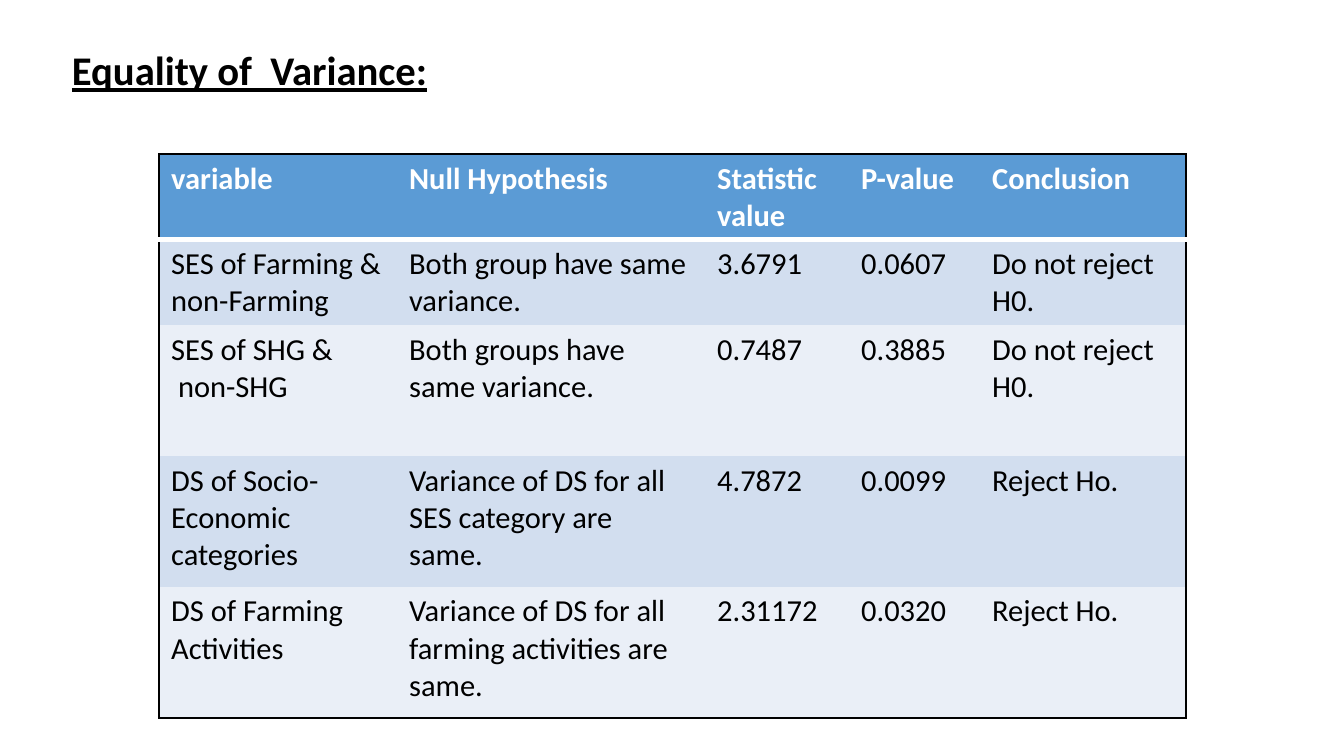
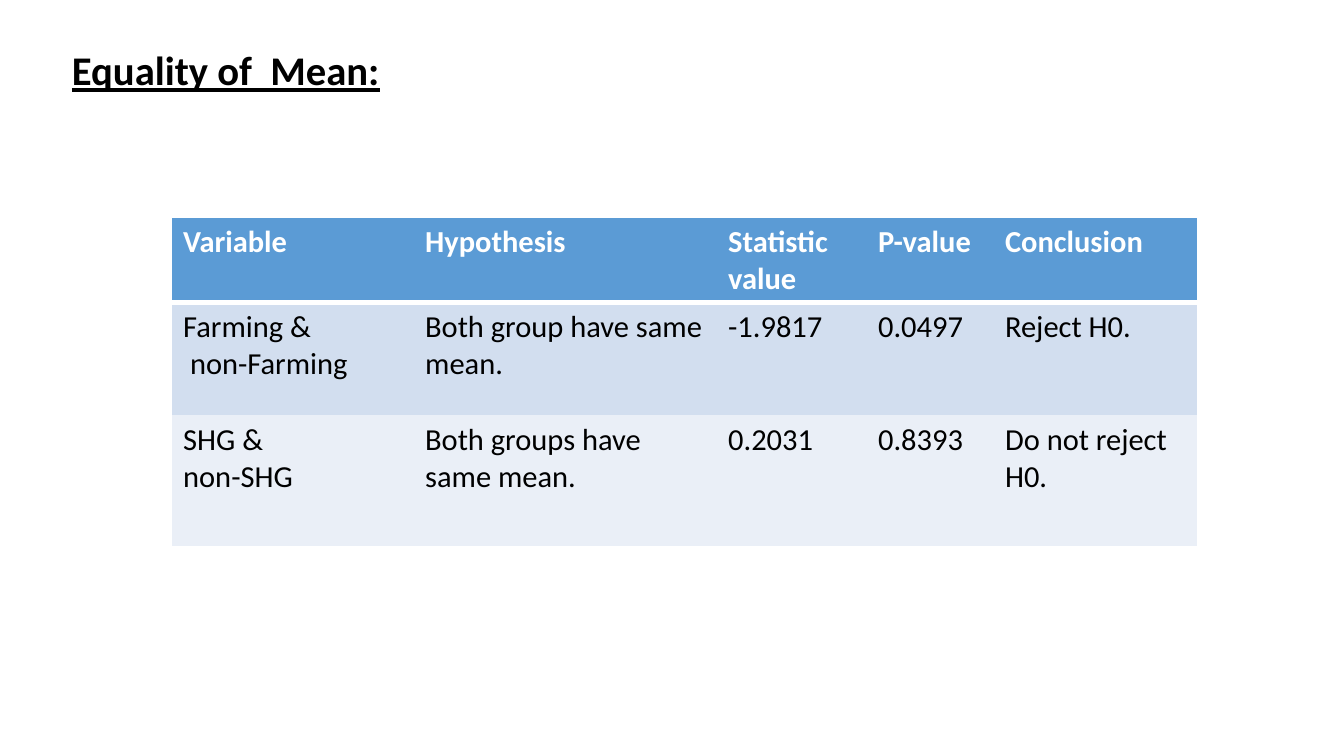
from dataclasses import dataclass
from lxml.etree import SubElement
from pptx import Presentation
from pptx.dml.color import RGBColor
from pptx.enum.text import MSO_AUTO_SIZE
from pptx.oxml.ns import qn
from pptx.util import Emu, Pt


@dataclass(frozen=True)
class Theme:
    font: str = "Calibri"
    title_size: int = 24
    table_size: int = 18
    ink: str = "000000"
    paper: str = "FFFFFF"
    header_fill: str = "5B9BD5"
    band_fills: tuple = ("D2DEEF", "EAEFF7")
    outline_width: int = 1
    header_rule_width: int = 3
    plain_table_style: str = "{2D5ABB26-0587-4C30-8999-92F81FD0307C}"


theme = Theme()
EMU_PER_PIXEL = 914400 / 122


def pixels(count):
    return Emu(round(count * EMU_PER_PIXEL))


def add_run(paragraph, text, size, color, bold, underline=False):
    run = paragraph.add_run()
    run.text = text
    run.font.name = theme.font
    run.font.size = Pt(size)
    run.font.color.rgb = RGBColor.from_string(color)
    run.font.bold = bold
    run.font.underline = underline


tests = [
    {
        "title": "Equality of  Variance:",
        "left": 159,
        "top": 154,
        "column_widths": [238, 308, 144, 131, 206],
        "row_heights": [85, 85, 131, 131, 131],
        "outline": theme.ink,
        "rows": [
            ["variable", "Null Hypothesis", "Statistic value", "P-value", "Conclusion"],
            ["SES of Farming & non-Farming", "Both group have same variance.",
             "3.6791", "0.0607", "Do not reject H0."],
            ["SES of SHG &\n non-SHG", "Both groups have same variance.",
             "0.7487", "0.3885", "Do not reject H0."],
            ["DS of Socio-Economic categories", "Variance of DS for all SES category are same.",
             "4.7872", "0.0099", "Reject Ho."],
            ["DS of Farming Activities", "Variance of DS for all farming activities are same.",
             "2.31172", "0.0320", "Reject Ho."],
        ],
    },
    {
        "title": "Equality of  Mean:",
        "left": 171,
        "top": 217,
        "column_widths": [242, 303, 150, 127, 205],
        "row_heights": [85, 113, 131],
        "outline": theme.paper,
        "rows": [
            ["Variable", "Hypothesis", "Statistic value", "P-value", "Conclusion"],
            ["Farming &\n non-Farming", "Both group have same mean.",
             "-1.9817", "0.0497", "Reject H0."],
            ["SHG &\nnon-SHG", "Both groups have same mean.",
             "0.2031", "0.8393", "Do not reject H0."],
        ],
    },
]

presentation = Presentation()
presentation.slide_width = pixels(1344)
presentation.slide_height = pixels(756)
blank_layout = presentation.slide_layouts[6]

for test in tests:
    slide = presentation.slides.add_slide(blank_layout)

    title = slide.shapes.add_textbox(pixels(60), pixels(39), pixels(432), pixels(61))
    title.text_frame.word_wrap = True
    title.text_frame.auto_size = MSO_AUTO_SIZE.SHAPE_TO_FIT_TEXT
    add_run(title.text_frame.paragraphs[0], test["title"], theme.title_size, theme.ink, True, True)

    rows, widths, heights = test["rows"], test["column_widths"], test["row_heights"]
    table = slide.shapes.add_table(
        len(rows), len(widths), pixels(test["left"]), pixels(test["top"]),
        pixels(sum(widths)), pixels(sum(heights))).table
    table.horz_banding = False
    table._tbl.tblPr.find(qn("a:tableStyleId")).text = theme.plain_table_style
    for column, width in zip(table.columns, widths):
        column.width = pixels(width)
    for row, height in zip(table.rows, heights):
        row.height = pixels(height)

    last_row, last_column = len(rows) - 1, len(widths) - 1
    outline = (test["outline"], theme.outline_width)
    for row_index, row_texts in enumerate(rows):
        is_header = row_index == 0
        fill = theme.header_fill if is_header else theme.band_fills[(row_index - 1) % 2]
        text_color = theme.paper if is_header else theme.ink
        for column_index, cell_text in enumerate(row_texts):
            cell = table.cell(row_index, column_index)
            for line_index, line in enumerate(cell_text.split("\n")):
                text_frame = cell.text_frame
                paragraph = text_frame.add_paragraph() if line_index else text_frame.paragraphs[0]
                add_run(paragraph, line, theme.table_size, text_color, is_header)

            borders = {}
            if column_index == 0:
                borders["a:lnL"] = outline
            if column_index == last_column:
                borders["a:lnR"] = outline
            if is_header:
                borders["a:lnT"] = outline
                borders["a:lnB"] = (theme.paper, theme.header_rule_width)
            if row_index == last_row:
                borders["a:lnB"] = outline
            cell_properties = cell._tc.get_or_add_tcPr()
            for side, (color, width) in borders.items():
                border = SubElement(cell_properties, qn(side), w=str(Pt(width)))
                border_fill = SubElement(border, qn("a:solidFill"))
                SubElement(border_fill, qn("a:srgbClr"), val=color)
            cell.fill.solid()
            cell.fill.fore_color.rgb = RGBColor.from_string(fill)

presentation.save("out.pptx")
